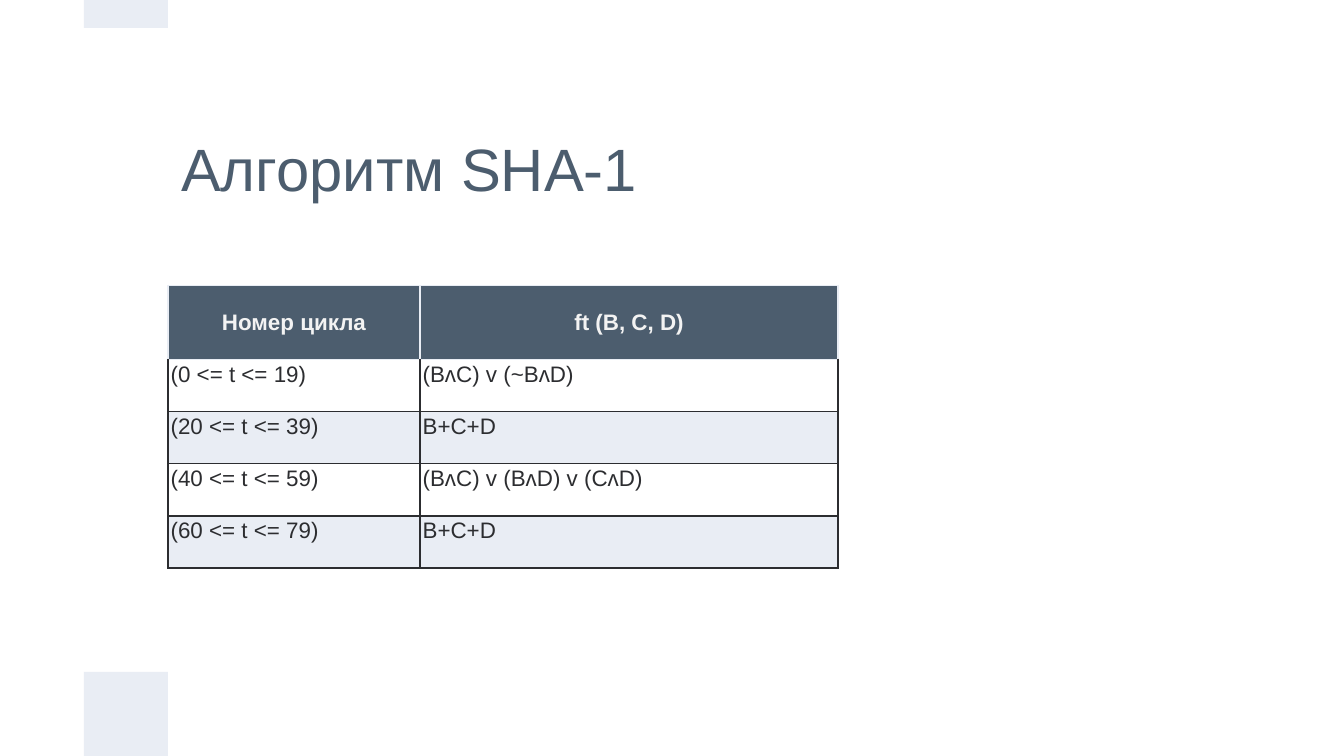
import pptx
import pptx.dml.color
import pptx.enum.shapes
import pptx.enum.text
import pptx.oxml.ns
import pptx.util
from lxml import etree

TITLE = "Алгоритм SHA-1"
HEADER = ("Номер цикла", "ft (B, C, D)")
ROUNDS = [
    ("(0 <= t <= 19)", "(BᴧC) v (~BᴧD)"),
    ("(20 <= t <= 39)", "B+C+D"),
    ("(40 <= t <= 59)", "(BᴧC) v (BᴧD) v (CᴧD)"),
    ("(60 <= t <= 79)", "B+C+D"),
]

THEME = {
    "font": "Arial", "title_size": 32, "table_size": 12,
    "slate": "4C5D6E", "pale": "E9EDF4", "ink": "2C2D30", "header_text": "F3F3F3",
}

# The slide is a grid of 16 columns by 9 rows.
WIDTH, HEIGHT = pptx.util.Inches(10), pptx.util.Inches(5.625)
COLUMN, ROW = WIDTH / 16, HEIGHT / 9

# Left, top, width, height in grid columns and rows
ACCENTS = [(1, 8, 1, 1), (1, 0, 1, 1 / 3)]
TITLE_AREA = (2, 1, 12, 2)
TABLE_TOP = 3.4
TABLE_COLUMNS = (3, 4.98)
HEADER_HEIGHT, ROUND_HEIGHT = 0.88, 0.62

ALIGN = pptx.enum.text.PP_ALIGN
ANCHOR = pptx.enum.text.MSO_ANCHOR
SIDES = ("left", "right", "top", "bottom")


def color(name):
    return pptx.dml.color.RGBColor.from_string(THEME[name])


def place(left, top, width, height):
    """Turn grid units into slide lengths."""
    return (round(left * COLUMN), round(top * ROW),
            round(width * COLUMN), round(height * ROW))


def apply(target, values):
    for attribute, value in values.items():
        setattr(target, attribute, value)


def write(frame, text, size, ink, bold=False, align=ALIGN.LEFT):
    paragraph = frame.paragraphs[0]
    paragraph.alignment = align
    run = paragraph.add_run()
    run.text = text
    apply(run.font, {"name": THEME["font"], "size": pptx.util.Pt(THEME[size]),
                     "bold": bold})
    run.font.color.rgb = color(ink)


def draw_borders(cell, line_colors):
    """Give each side of the cell a 1 pt line; runs before the cell is filled."""
    properties = cell._tc.get_or_add_tcPr()
    for side in SIDES:
        line = etree.SubElement(properties, pptx.oxml.ns.qn("a:ln" + side[0].upper()),
                                w=str(pptx.util.Pt(1)))
        fill = etree.SubElement(line, pptx.oxml.ns.qn("a:solidFill"))
        etree.SubElement(fill, pptx.oxml.ns.qn("a:srgbClr"), val=THEME[line_colors[side]])


def add_accents(slide):
    for area in ACCENTS:
        accent = slide.shapes.add_shape(
            pptx.enum.shapes.MSO_SHAPE.RECTANGLE, *place(*area))
        accent.shadow.inherit = False
        accent.fill.solid()
        accent.fill.fore_color.rgb = color("pale")
        accent.line.fill.background()


def add_title(slide):
    title = slide.shapes.add_textbox(*place(*TITLE_AREA)).text_frame
    apply(title, {"word_wrap": True, "vertical_anchor": ANCHOR.MIDDLE})
    apply(title, {f"margin_{side}": pptx.util.Inches(0.1) for side in SIDES})
    write(title, TITLE, "title_size", "slate")


def add_rounds_table(slide):
    contents = [HEADER, *ROUNDS]
    heights = [HEADER_HEIGHT] + [ROUND_HEIGHT] * len(ROUNDS)
    area = place(2, TABLE_TOP, sum(TABLE_COLUMNS), sum(heights))
    table = slide.shapes.add_table(len(contents), len(HEADER), *area).table
    apply(table, {"first_row": False, "horz_banding": False})
    for column, width in zip(table.columns, TABLE_COLUMNS):
        column.width = round(width * COLUMN)
    for row, height in zip(table.rows, heights):
        row.height = round(height * ROW)

    for row_number, texts in enumerate(contents):
        is_header = row_number == 0
        line_colors = dict.fromkeys(SIDES, "pale" if is_header else "ink")
        if row_number == 1:
            line_colors["top"] = "pale"
        for column_number, text in enumerate(texts):
            cell = table.cell(row_number, column_number)
            apply(cell, {f"margin_{side}": pptx.util.Inches(0.02) for side in SIDES})
            cell.vertical_anchor = ANCHOR.MIDDLE if is_header else ANCHOR.TOP
            draw_borders(cell, line_colors)
            if row_number % 2:
                cell.fill.background()
            else:
                cell.fill.solid()
                cell.fill.fore_color.rgb = color("slate" if is_header else "pale")
            if is_header:
                write(cell.text_frame, text, "table_size", "header_text",
                      bold=True, align=ALIGN.CENTER)
            else:
                write(cell.text_frame, text, "table_size", "ink")


def main():
    deck = pptx.Presentation()
    apply(deck, {"slide_width": WIDTH, "slide_height": HEIGHT})
    slide = deck.slides.add_slide(deck.slide_layouts[6])
    add_accents(slide)
    add_title(slide)
    add_rounds_table(slide)
    deck.save("out.pptx")


if __name__ == "__main__":
    main()
